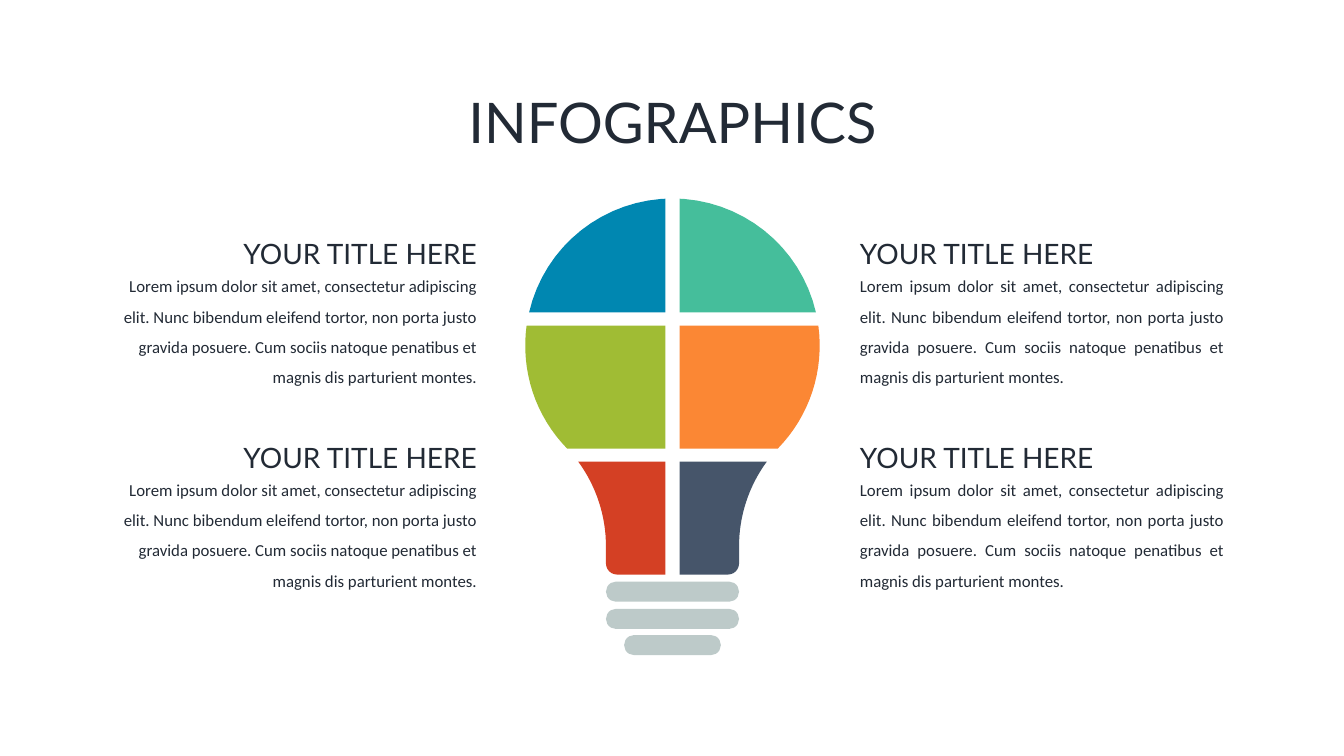
"""Build the light bulb infographic slide."""
from dataclasses import dataclass
from math import asin, cos, pi, sin, sqrt

from pptx import Presentation
from pptx import util as u
from pptx.dml.color import RGBColor
from pptx.enum import shapes, text


@dataclass(frozen=True)
class Theme:
    ink: str = "222A35"
    base: str = "BDCAC9"
    head: str = "Lato"
    body: str = "Calibri"
    big: int = 40
    mid: int = 20
    small: int = 12


@dataclass(frozen=True)
class Band:
    edge: list
    left: str
    right: str


@dataclass(frozen=True)
class Ring:
    top: float
    wide: float


@dataclass(frozen=True)
class Side:
    left: float
    head: text.PP_ALIGN
    body: text.PP_ALIGN


THEME = Theme()
MID = 6.67
GAP = 0.07
HUB = 3.43
RAD = 1.46
LOREM = (
    "Lorem ipsum dolor sit amet, consectetur adipiscing elit. "
    "Nunc bibendum eleifend tortor, non porta justo gravida posuere. "
    "Cum sociis natoque penatibus et magnis dis parturient montes."
)


def arc(x: float, y: float, rad: float, start: float, end: float, steps: int = 16) -> list:
    turns = [start + (end - start) * i / steps for i in range(steps + 1)]
    return [(x + rad * cos(t), y + rad * sin(t)) for t in turns]


def globe(top: float, low: float) -> list:
    start, end = (asin(max(-1, (y - HUB) / RAD)) for y in (top, low))
    return [p for p in arc(0, HUB, RAD, start, end) if p[0] > GAP]


def cap(top: float, low: float) -> list:
    rim = (GAP, HUB - sqrt(RAD**2 - GAP**2))
    return [rim] + globe(top, low)


def neck(top: float, low: float) -> list:
    bend, foot, half, turn = 1.42, 5.42, 0.66, 0.11
    start = pi + asin((foot - top) / bend)
    flare = arc(half + bend, foot, bend, start, pi)
    return flare + arc(half - turn, low - turn, turn, 0, pi / 2, 6)


def paint(shape, color: str) -> None:
    shape.shadow.inherit = False
    shape.fill.solid()
    shape.fill.fore_color.rgb = RGBColor.from_string(color)
    shape.line.fill.background()


def piece(group, edge: list, sign: int, color: str) -> None:
    loop = [(GAP, edge[0][1])] + edge + [(GAP, edge[-1][1])]
    spots = [(u.Inches(MID + sign * x), u.Inches(y)) for x, y in loop]
    pen = group.shapes.build_freeform(*spots[0], scale=1.0)
    pen.add_line_segments(spots[1:], close=True)
    paint(pen.convert_to_shape(), color)


def ring(group, item: Ring) -> None:
    shape = group.shapes.add_shape(
        shapes.MSO_SHAPE.ROUNDED_RECTANGLE,
        u.Inches(MID - item.wide / 2), u.Inches(item.top),
        u.Inches(item.wide), u.Inches(0.2))
    shape.adjustments[0] = 0.5
    paint(shape, THEME.base)


def write(shape, words: str, font: str, size: int,
          align: text.PP_ALIGN, gap: float = 1.0) -> None:
    frame = shape.text_frame
    frame.word_wrap = True
    frame.auto_size = text.MSO_AUTO_SIZE.SHAPE_TO_FIT_TEXT
    frame.vertical_anchor = text.MSO_ANCHOR.TOP
    para = frame.paragraphs[0]
    para.alignment = align
    para.line_spacing = gap
    run = para.add_run()
    run.text = words
    run.font.name = font
    run.font.size = u.Pt(size)
    run.font.color.rgb = RGBColor.from_string(THEME.ink)


def box(slide, left: float, top: float, high: float):
    return slide.shapes.add_textbox(
        u.Inches(left), u.Inches(top), u.Inches(3.81), u.Inches(high))


def main() -> None:
    deck = Presentation()
    deck.slide_width, deck.slide_height = u.Inches(13.33), u.Inches(7.5)
    slide = deck.slides.add_slide(deck.slide_layouts[5])

    title = slide.shapes.title
    title.left, title.top = u.Inches(4.08), u.Inches(0.82)
    title.width, title.height = u.Inches(5.18), u.Inches(0.77)
    write(title, "INFOGRAPHICS", THEME.head, THEME.big, text.PP_ALIGN.CENTER)

    bulb = slide.shapes.add_group_shape()
    bands = [
        Band(cap(HUB - RAD, 3.1), "0087B1", "45BE9B"),
        Band(globe(3.23, 4.45), "A0BC34", "FB8734"),
        Band(neck(4.58, 5.7), "D44024", "46556A"),
    ]
    for band in bands:
        piece(bulb, band.edge, -1, band.left)
        piece(bulb, band.edge, 1, band.right)
    for item in (Ring(5.77, 1.32), Ring(6.04, 1.32), Ring(6.3, 0.96)):
        ring(bulb, item)

    sides = [
        Side(1.02, text.PP_ALIGN.RIGHT, text.PP_ALIGN.RIGHT),
        Side(8.43, text.PP_ALIGN.LEFT, text.PP_ALIGN.JUSTIFY),
    ]
    for side in sides:
        for top in (2.3, 4.32):
            write(box(slide, side.left, top + 0.29, 1.31), LOREM,
                  THEME.body, THEME.small, side.body, 1.5)
            write(box(slide, side.left, top, 0.44), "YOUR TITLE HERE",
                  THEME.head, THEME.mid, side.head)

    deck.save("out.pptx")


if __name__ == "__main__":
    main()
